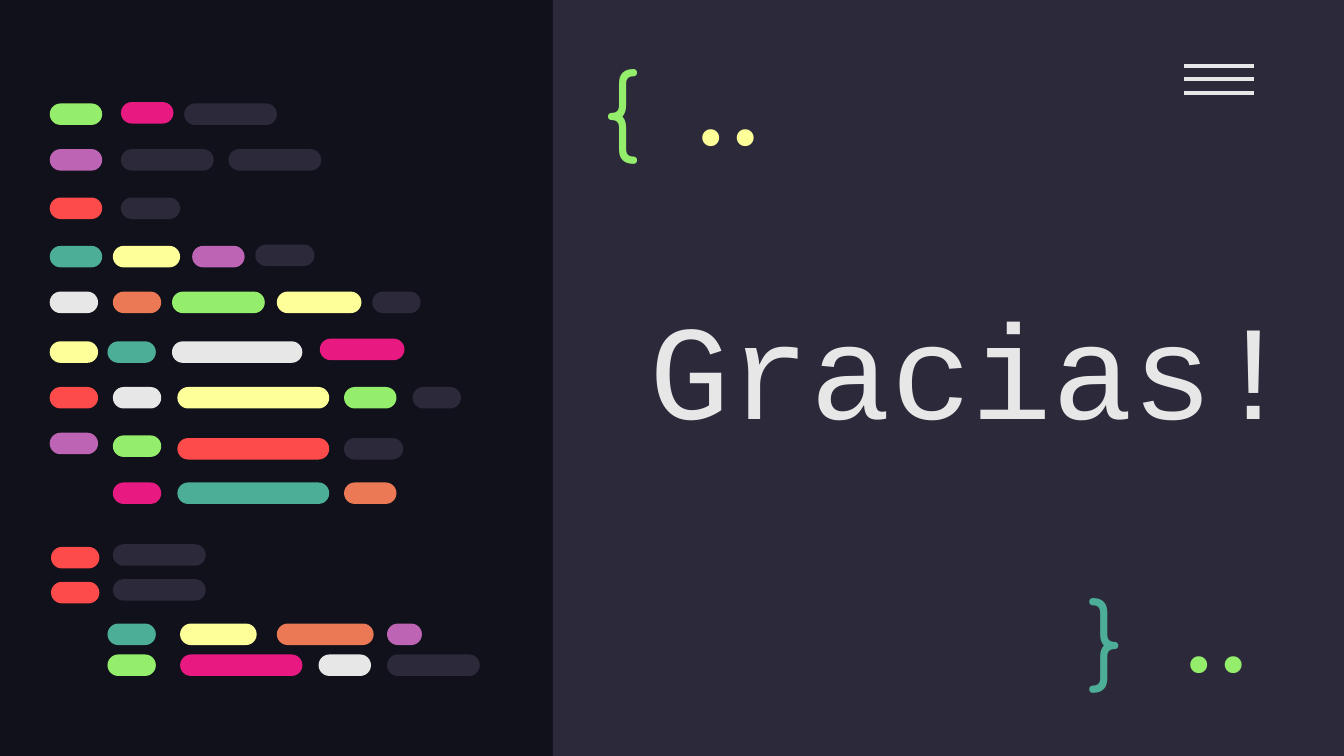
"""Build the closing slide: a panel of coloured code bars beside a thank-you title."""
import lxml.etree
import pptx
import pptx.dml.color
import pptx.enum.shapes
import pptx.enum.text
import pptx.oxml.ns
import pptx.util

PX = 4572
BAR_HEIGHT = 32
COLORS = {
    "night": "10111A",
    "slate": "2C293A",
    "white": "E7E7E7",
    "green": "94EE6B",
    "pink": "E81A81",
    "purple": "BD64B5",
    "red": "FD4A4A",
    "teal": "4CAE97",
    "yellow": "FFFF99",
    "orange": "EC7955",
}
CODE_ROWS = {
    152: [(180, 78, "pink")],
    154: [(74, 78, "green"), (274, 138, "slate")],
    222: [(74, 78, "purple"), (180, 138, "slate"), (340, 138, "slate")],
    294: [(74, 78, "red"), (180, 88, "slate")],
    364: [(380, 88, "slate")],
    366: [(74, 78, "teal"), (168, 100, "yellow"), (286, 78, "purple")],
    434: [(74, 72, "white"), (168, 72, "orange"), (256, 138, "green"),
          (412, 126, "yellow"), (554, 72, "slate")],
    504: [(476, 126, "pink")],
    508: [(74, 72, "yellow"), (160, 72, "teal"), (256, 194, "white")],
    576: [(74, 72, "red"), (168, 72, "white"), (264, 226, "yellow"),
          (512, 78, "green"), (614, 72, "slate")],
    644: [(74, 72, "purple")],
    648: [(168, 72, "green")],
    652: [(264, 226, "red"), (512, 88, "slate")],
    718: [(168, 72, "pink"), (264, 226, "teal"), (512, 78, "orange")],
    810: [(168, 138, "slate")],
    814: [(76, 72, "red")],
    862: [(168, 138, "slate")],
    866: [(76, 72, "red")],
    928: [(160, 72, "teal"), (268, 114, "yellow"), (412, 144, "orange"),
          (576, 52, "purple")],
    974: [(160, 72, "green"), (268, 182, "pink"), (474, 78, "white"),
          (576, 138, "slate")],
}
ALIGN = pptx.enum.text.PP_ALIGN
ANCHOR = pptx.enum.text.MSO_ANCHOR
SHAPE = pptx.enum.shapes.MSO_SHAPE


def emu(*lengths):
    """Turn px lengths into EMU."""
    return [pptx.util.Emu(length * PX) for length in lengths]


def rgb(name):
    """Return the named colour."""
    return pptx.dml.color.RGBColor.from_string(COLORS[name])


def apply(target, values):
    """Set every attribute in a dict of format values."""
    for name, value in values.items():
        setattr(target, name, value)


def add_block(shapes, kind, box, color):
    """Add a flat filled shape without outline or shadow."""
    shape = shapes.add_shape(kind, *emu(*box))
    shape.fill.solid()
    shape.fill.fore_color.rgb = rgb(color)
    shape.line.fill.background()
    shape.shadow.inherit = False
    return shape


def add_code_bars(slide):
    """Add the rows of rounded code bars as one group."""
    group = slide.shapes.add_group_shape()
    for top, bars in CODE_ROWS.items():
        for left, width, color in bars:
            box = (left, top, width, BAR_HEIGHT)
            bar = add_block(group.shapes, SHAPE.ROUNDED_RECTANGLE, box, color)
            bar.adjustments[0] = 0.5


def add_menu_icon(slide):
    """Add the three evenly spaced lines of the menu icon."""
    group = slide.shapes.add_group_shape()
    for top in range(98, 139, 20):
        line = group.shapes.add_connector(
            pptx.enum.shapes.MSO_CONNECTOR.STRAIGHT, *emu(1762, top, 1866, top))
        line.line.color.rgb = rgb("white")
        line.line.width = pptx.util.Pt(2.25)
        lxml.etree.SubElement(line.element.spPr, pptx.oxml.ns.qn("a:effectLst"))


def format_text(shape, text, font, size, color, align, anchor):
    """Write one formatted paragraph into a shape."""
    frame = shape.text_frame
    margins = dict.fromkeys(
        ("margin_left", "margin_top", "margin_right", "margin_bottom"), emu(20)[0])
    apply(frame, {
        "text": text,
        "word_wrap": True,
        "auto_size": pptx.enum.text.MSO_AUTO_SIZE.NONE,
        "vertical_anchor": anchor,
        **margins,
    })
    paragraph = frame.paragraphs[0]
    paragraph.alignment = align
    run_font = paragraph.runs[0].font
    apply(run_font, {"name": font, "size": pptx.util.Pt(size), "bold": False})
    run_font.color.rgb = rgb(color)


def add_symbol(slide, box, text, font, color, align, anchor):
    """Add a large code symbol in a text box."""
    shape = slide.shapes.add_textbox(*emu(*box))
    format_text(shape, text, font, 50, color, align, anchor)


def place_title(slide, panel):
    """Place and format the title in front of the panel."""
    title = slide.shapes.title
    panel.element.addnext(title.element)
    apply(title, dict(zip(("left", "top", "width", "height"), emu(906, 290, 1080, 554))))
    format_text(title, "Gracias!", "Courier New", 72, "white", ALIGN.CENTER, ANCHOR.MIDDLE)
    title.text_frame.paragraphs[0].line_spacing = 0.8


def main():
    """Build and save the slide."""
    presentation = pptx.Presentation()
    apply(presentation, dict(zip(("slide_width", "slide_height"), emu(2000, 1125))))
    slide = presentation.slides.add_slide(presentation.slide_layouts[5])
    slide.background.fill.solid()
    slide.background.fill.fore_color.rgb = rgb("night")

    panel = add_block(slide.shapes, SHAPE.RECTANGLE, (823, 0, 1177, 1125), "slate")
    place_title(slide, panel)
    add_menu_icon(slide)
    add_code_bars(slide)
    for box, text, color in (((878, 53, 154, 190), "{", "green"),
                             ((1600, 840, 114, 166), "}", "teal")):
        add_symbol(slide, box, text, "Comfortaa", color, ALIGN.LEFT, ANCHOR.TOP)
    for left, top, color in ((1701, 886, "green"), (975, 101, "yellow")):
        add_symbol(slide, (left, top, 214, 120), "..", "Fira Code", color,
                   ALIGN.RIGHT, ANCHOR.MIDDLE)
    presentation.save("out.pptx")


if __name__ == "__main__":
    main()
